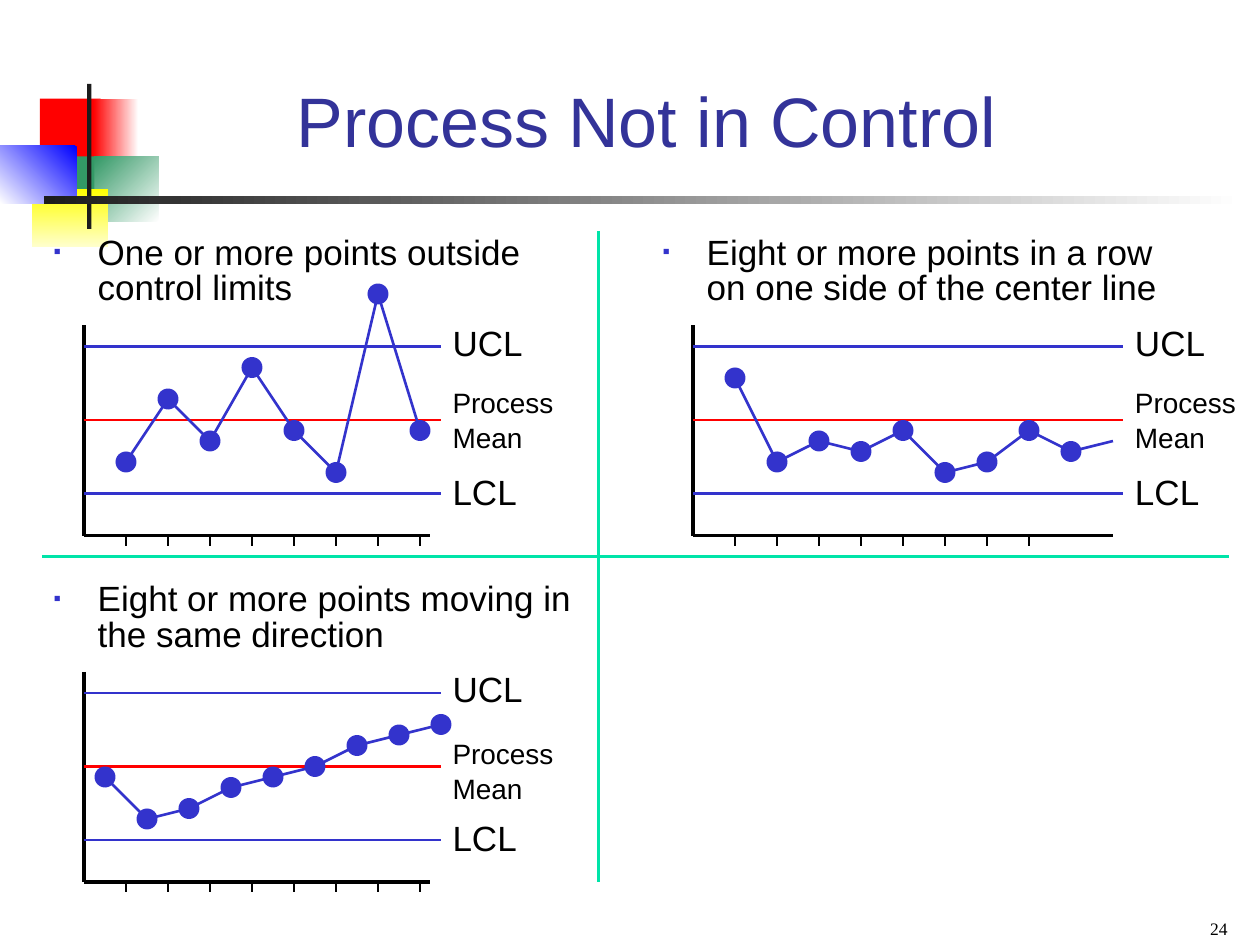
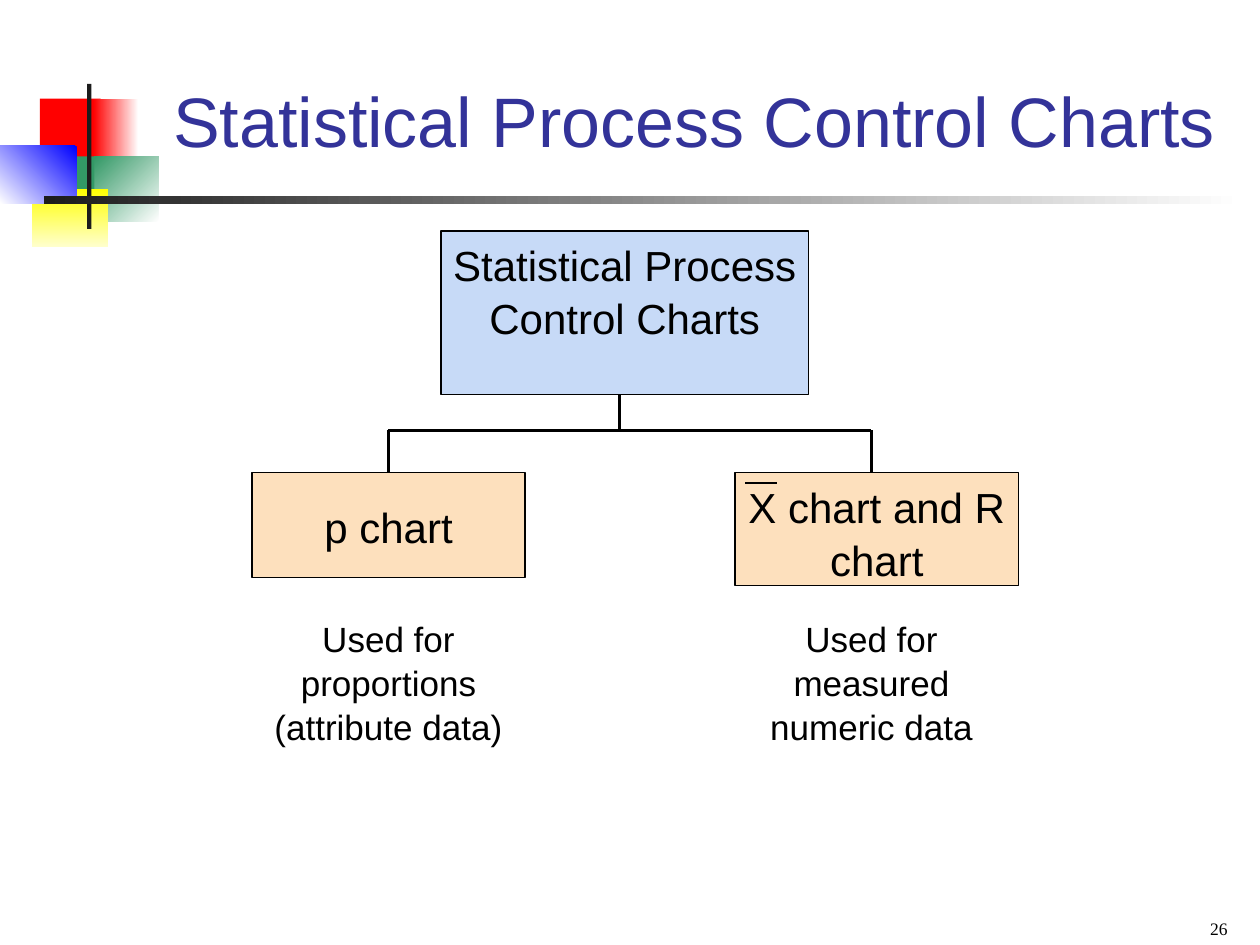
"""Build two slides on statistical process control: out-of-control patterns and chart types."""
from dataclasses import dataclass

from lxml.etree import SubElement
from pptx import Presentation
from pptx.dml.color import RGBColor as RGB
from pptx.enum.shapes import MSO_CONNECTOR as LINK, MSO_SHAPE as SHAPE
from pptx.enum.text import MSO_ANCHOR as ANCHOR, PP_ALIGN as ALIGN
from pptx.oxml.ns import qn
from pptx.util import Pt

PX = 7620


@dataclass(frozen=True)
class Theme:
    ink: str = "000000"
    title: str = "333399"
    series: str = "3333CC"
    mean: str = "FF0000"
    divider: str = "00E4A8"
    root: str = "C7DAF7"
    branch: str = "FDE0BD"
    white: str = "FFFFFF"
    red: str = "FF0000"
    green: str = "339966"
    yellow: str = "FFFF00"
    cream: str = "FFFFCC"
    blue: str = "0000FF"
    charcoal: str = "1C1C1C"
    sans: str = "Arial"
    serif: str = "Times New Roman"
    title_size: int = 40
    node_size: int = 24
    text_size: int = 20
    mean_size: int = 16
    page_size: int = 10
    axis: float = 2.25
    limit: float = 1.5
    thin: float = 0.75


T = Theme()


def write(shape, words, size, align=ALIGN.LEFT, color=T.ink, font=T.sans,
          anchor=ANCHOR.TOP, spacing=1.05, bullet=False):
    frame = shape.text_frame
    frame.word_wrap = True
    frame.vertical_anchor = anchor
    frame.margin_left = frame.margin_right = 11 * PX
    frame.margin_top = frame.margin_bottom = 6 * PX
    line = frame.paragraphs[0]
    line.text = words
    if bullet:
        props = line._p.get_or_add_pPr()
        props.set("marL", str(42 * PX))
        props.set("indent", str(-42 * PX))
        SubElement(SubElement(props, qn("a:buClr")), qn("a:srgbClr"), val=T.series)
        SubElement(props, qn("a:buSzPct"), val="60000")
        SubElement(props, qn("a:buFont"), typeface=T.sans)
        SubElement(props, qn("a:buChar"), char="▪")
    line.alignment = align
    line.line_spacing = spacing
    line.font.name = font
    line.font.size = Pt(size)
    line.font.color.rgb = RGB.from_string(color)


def rule(slide, color, weight, *ends):
    line = slide.shapes.add_connector(LINK.STRAIGHT, *(v * PX for v in ends))
    line.line.color.rgb = RGB.from_string(color)
    line.line.width = Pt(weight)
    SubElement(line._element.spPr, qn("a:effectLst"))
    return line


deck = Presentation()
deck.slide_width, deck.slide_height = 1200 * PX, 900 * PX

ornaments = [
    ((38, 94, 58, 62), T.red, None, 0),
    ((89, 94, 43, 62), T.white, T.red, 180),
    ((90, 149, 61, 62), T.white, T.green, 225),
    ((52, 149, 38, 62), T.green, None, 0),
    ((30, 180, 73, 55), T.yellow, T.cream, 90),
    ((0, 139, 73, 55), T.blue, T.white, 135),
    ((83, 80, 4, 138), T.charcoal, None, 0),
    ((42, 187, 1141, 7), T.white, T.charcoal, 180),
]
pages = [
    ("Process Not in Control", (151, 30, 929, 130), "24"),
    ("Statistical Process Control Charts", (150, 60, 1022, 100), "26"),
]
slides = []
for heading, heading_box, number in pages:
    slide = deck.slides.add_slide(deck.slide_layouts[6])
    slides.append(slide)
    for box, start, end, angle in ornaments:
        block = slide.shapes.add_shape(SHAPE.RECTANGLE, *(v * PX for v in box))
        block.shadow.inherit = False
        block.line.fill.background()
        if end:
            block.fill.gradient()
            block.fill.gradient_angle = 360 - angle
            for stop, color in zip(block.fill.gradient_stops, (start, end)):
                stop.color.rgb = RGB.from_string(color)
        else:
            block.fill.solid()
            block.fill.fore_color.rgb = RGB.from_string(start)
    write(slide.shapes.add_textbox(*(v * PX for v in heading_box)), heading,
          T.title_size, ALIGN.CENTER, T.title, anchor=ANCHOR.BOTTOM, spacing=1)
    write(slide.shapes.add_textbox(900 * PX, 858 * PX, 280 * PX, 42 * PX), number,
          T.page_size, ALIGN.RIGHT, font=T.serif, anchor=ANCHOR.BOTTOM, spacing=1)

signals, chart_types = slides

panels = [
    ("One or more points outside control limits", 80, 220, 480, 330, 140,
     40, [220, 160, 200, 130, 190, 230, 60, 190], []),
    ("Eight or more points in a row on one side of the center line", 660, 220, 520, 400, 140,
     40, [140, 220, 200, 210, 190, 230, 220, 190, 210], [200]),
    ("Eight or more points moving in the same direction", 80, 550, 520, 330, 144,
     20, [190, 230, 220, 200, 190, 180, 160, 150, 140], []),
]
for pattern, left, top, text_width, axis_width, mean_top, first, samples, trailing in panels:
    base = top + 290
    limit_end = left + axis_width + 10
    write(signals.shapes.add_textbox((left - 40) * PX, top * PX, text_width * PX, 80 * PX),
          pattern, T.text_size, spacing=0.84, bullet=True)
    rule(signals, T.ink, T.axis, left, top + 90, left, base)
    rule(signals, T.ink, T.axis, left, base, left + axis_width, base)
    for offset, color in ((110, T.series), (180, T.mean), (250, T.series)):
        rule(signals, color, T.limit, left, top + offset, limit_end, top + offset)
    for tick in range(left + 40, left + 321, 40):
        rule(signals, T.ink, T.thin, tick, base, tick, base + 10)

    points = [(left + first + 40 * i, top + y) for i, y in enumerate(samples + trailing)]
    outline = signals.shapes.build_freeform(*points[0], scale=PX)
    outline.add_line_segments(points[1:], close=False)
    trend = outline.convert_to_shape()
    trend.shadow.inherit = False
    trend.fill.background()
    trend.line.color.rgb = RGB.from_string(T.series)
    trend.line.width = Pt(T.limit)
    for x, y in points[:len(samples)]:
        dot = signals.shapes.add_shape(SHAPE.OVAL, (x - 10) * PX, (y - 10) * PX, 20 * PX, 20 * PX)
        dot.shadow.inherit = False
        dot.fill.solid()
        dot.fill.fore_color.rgb = RGB.from_string(T.series)
        dot.line.fill.background()

    mean_width = min(160, 1200 - limit_end)
    for label, offset, width, height, size in (
        ("UCL", 78, 110, 53, T.text_size),
        ("Process Mean", mean_top, mean_width, 77, T.mean_size),
        ("LCL", 220, 110, 53, T.text_size),
    ):
        write(signals.shapes.add_textbox(limit_end * PX, (top + offset) * PX,
                                         width * PX, height * PX), label, size)

rule(signals, T.divider, T.limit, 40, 530, 1170, 530)
rule(signals, T.divider, T.limit, 570, 220, 570, 840)

rule(chart_types, T.ink, T.limit, 590, 370, 590, 410)
nodes = []
for name, box, color, anchor in (
    ("Statistical Process Control Charts", (420, 220, 350, 156), T.root, ANCHOR.TOP),
    ("p chart", (240, 450, 260, 100), T.branch, ANCHOR.MIDDLE),
    ("X chart and R chart", (700, 450, 270, 108), T.branch, ANCHOR.TOP),
):
    node = chart_types.shapes.add_shape(SHAPE.RECTANGLE, *(v * PX for v in box))
    node.shadow.inherit = False
    node.fill.solid()
    node.fill.fore_color.rgb = RGB.from_string(color)
    node.line.color.rgb = RGB.from_string(T.ink)
    node.line.width = Pt(T.thin)
    write(node, name, T.node_size, ALIGN.CENTER, anchor=anchor)
    nodes.append(node)

rule(chart_types, T.ink, T.limit, 370, 410, 830, 410)
rule(chart_types, T.ink, T.limit, 370, 410, 370, 450).end_connect(nodes[1], 0)
rule(chart_types, T.ink, T.limit, 830, 410, 830, 450)
rule(chart_types, T.ink, T.limit, 710, 460, 740, 460)
for left, use in ((240, "Used for proportions (attribute data)"),
                  (700, "Used for measured numeric data")):
    write(chart_types.shapes.add_textbox(left * PX, 580 * PX, 260 * PX, 132 * PX),
          use, T.text_size, ALIGN.CENTER)

deck.save("out.pptx")
